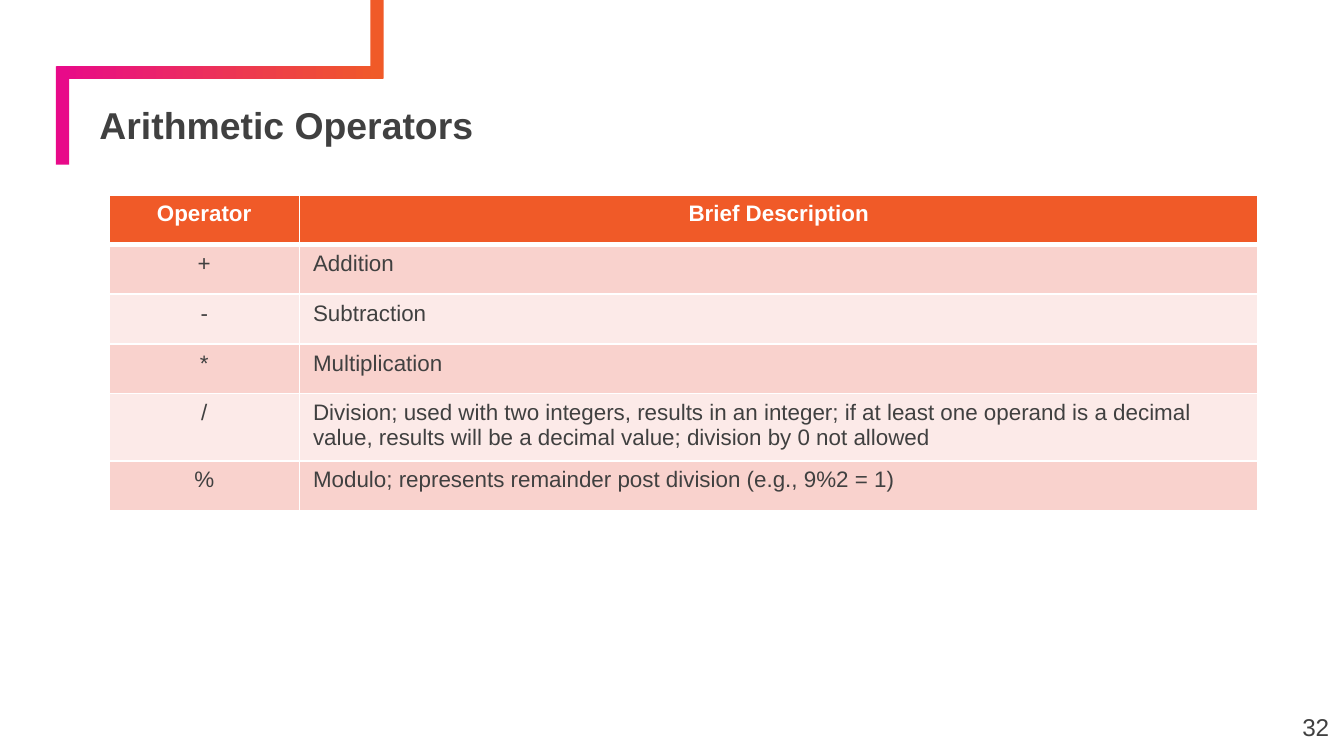
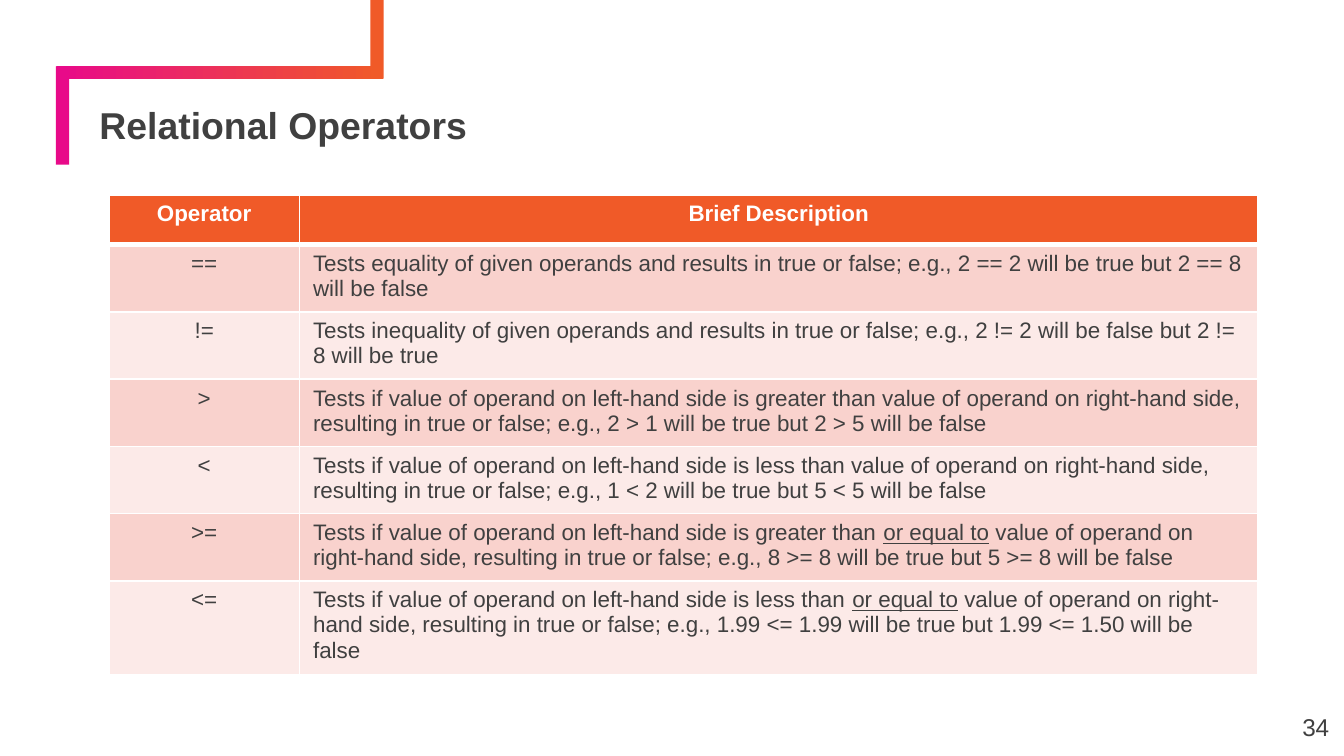
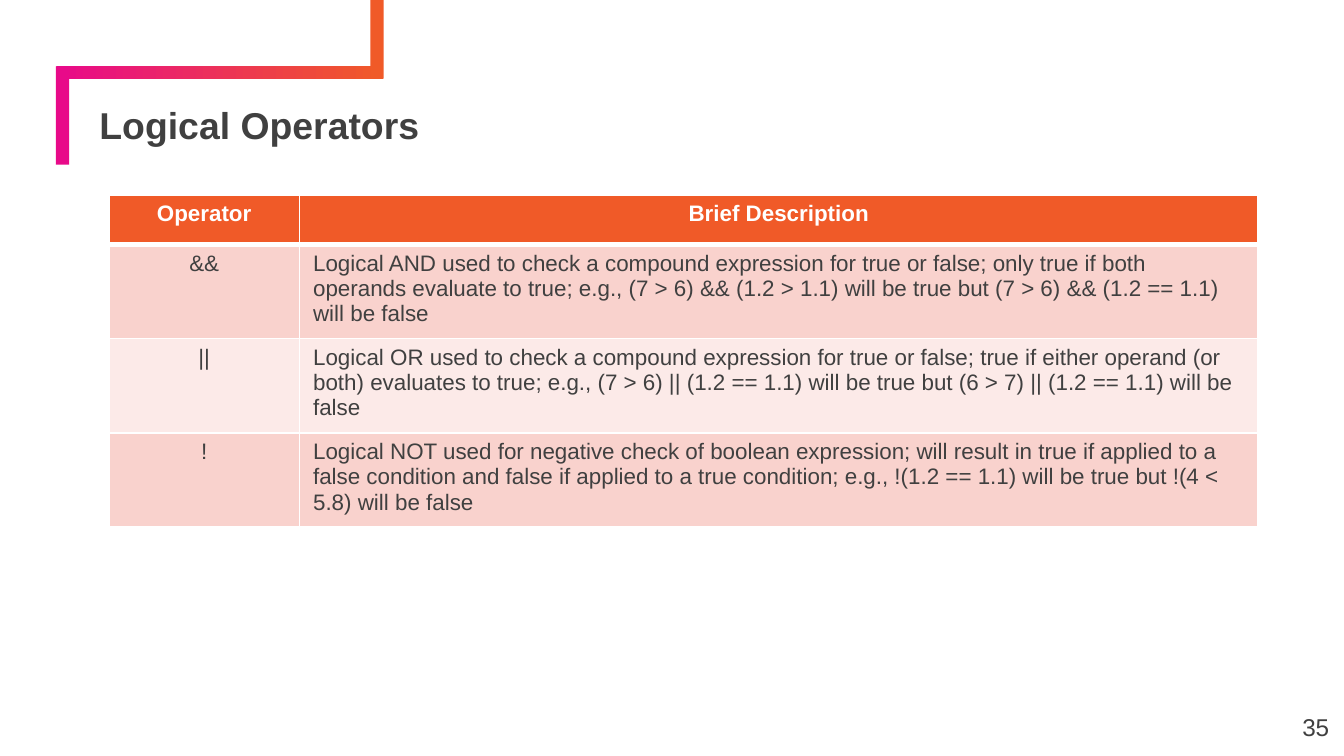
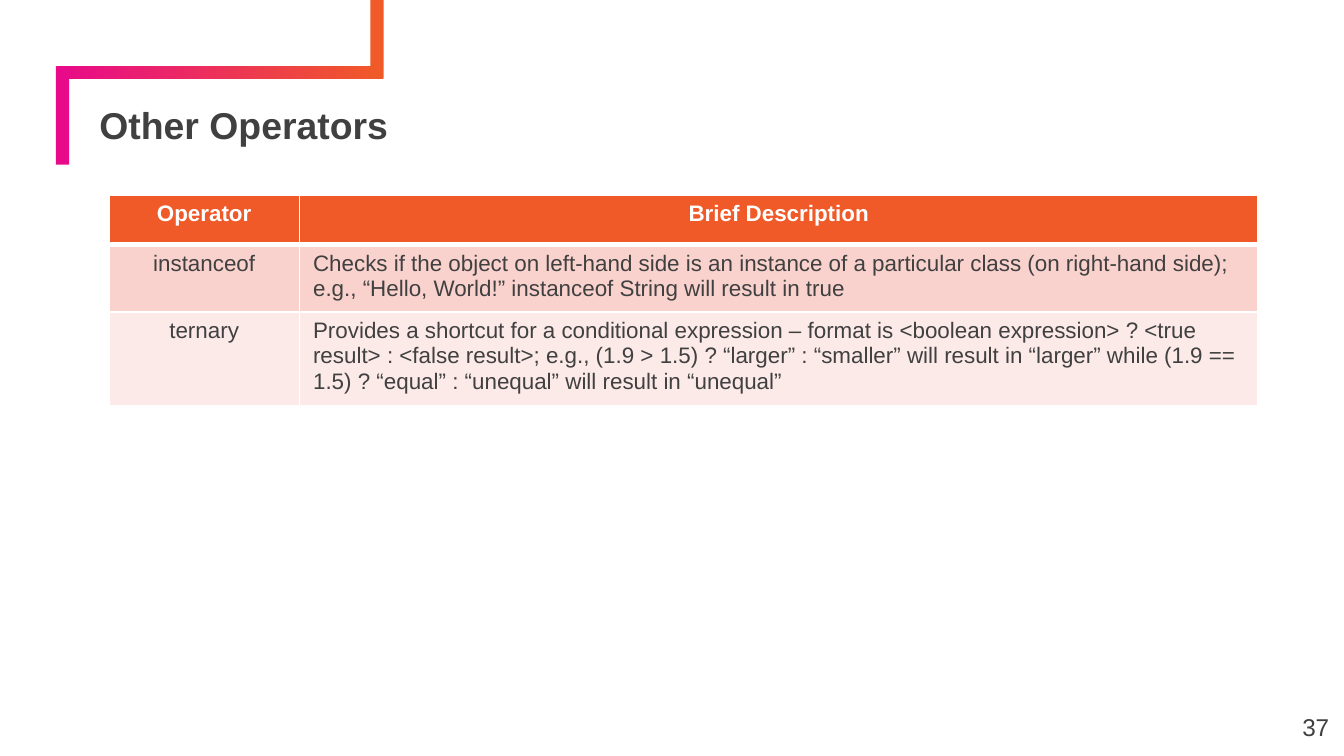
import pptx
import pptx.dml.color
import pptx.enum.shapes
import pptx.enum.text
import pptx.oxml
import pptx.oxml.ns
import pptx.util

Inches = pptx.util.Inches
Pt = pptx.util.Pt
RGBColor = pptx.dml.color.RGBColor
ALIGN = pptx.enum.text.PP_ALIGN

ORANGE = RGBColor(0xF0, 0x5A, 0x28)
PINK = RGBColor(0xE8, 0x0A, 0x89)
DARK = RGBColor(0x40, 0x40, 0x40)
WHITE = RGBColor(0xFF, 0xFF, 0xFF)
ROSE = RGBColor(0xF9, 0xD2, 0xCD)
PALE = RGBColor(0xFC, 0xEA, 0xE8)
FONT = "Arial"

# left, top, width, height, rotation, colours
BARS = [
    (0.42, 0.49, 2.43, 0.1, 0, [PINK, ORANGE]),
    (0.1, 0.81, 0.73, 0.1, 90, [PINK]),
    (2.51, 0.24, 0.59, 0.1, 90, [ORANGE]),
]
COLS = [1.42, 7.13]
ROW = 0.37
HEAD = ("Operator", "Brief Description")

# Underscores enclose underlined words.
SLIDES = [
    ("Arithmetic Operators", 32, [
        ("+", "Addition"),
        ("-", "Subtraction"),
        ("*", "Multiplication"),
        ("/", "Division; used with two integers, results in an integer; "
              "if at least one operand is a decimal value, results will be "
              "a decimal value; division by 0 not allowed"),
        ("%", "Modulo; represents remainder post division (e.g., 9%2 = 1)"),
    ]),
    ("Relational Operators", 34, [
        ("==", "Tests equality of given operands and results in true or "
               "false; e.g., 2 == 2 will be true but 2 == 8 will be false"),
        ("!=", "Tests inequality of given operands and results in true or "
               "false; e.g., 2 != 2 will be false but 2 != 8 will be true"),
        (">", "Tests if value of operand on left-hand side is greater than "
              "value of operand on right-hand side, resulting in true or "
              "false; e.g., 2 > 1 will be true but 2 > 5 will be false"),
        ("<", "Tests if value of operand on left-hand side is less than "
              "value of operand on right-hand side, resulting in true or "
              "false; e.g., 1 < 2 will be true but 5 < 5 will be false"),
        (">=", "Tests if value of operand on left-hand side is greater than "
               "_or equal to_ value of operand on right-hand side, resulting "
               "in true or false; e.g., 8 >= 8 will be true but 5 >= 8 will "
               "be false"),
        ("<=", "Tests if value of operand on left-hand side is less than "
               "_or equal to_ value of operand on right-hand side, resulting "
               "in true or false; e.g., 1.99 <= 1.99 will be true but "
               "1.99 <= 1.50 will be false"),
    ]),
    ("Logical Operators", 35, [
        ("&&", "Logical AND used to check a compound expression for true or "
               "false; only true if both operands evaluate to true; e.g., "
               "(7 > 6) && (1.2 > 1.1) will be true but (7 > 6) && "
               "(1.2 == 1.1) will be false"),
        ("||", "Logical OR used to check a compound expression for true or "
               "false; true if either operand (or both) evaluates to true; "
               "e.g., (7 > 6) || (1.2 == 1.1) will be true but (6 > 7) || "
               "(1.2 == 1.1) will be false"),
        ("!", "Logical NOT used for negative check of boolean expression; "
              "will result in true if applied to a false condition and false "
              "if applied to a true condition; e.g., !(1.2 == 1.1) will be "
              "true but !(4 < 5.8) will be false"),
    ]),
    ("Other Operators", 37, [
        ("instanceof", "Checks if the object on left-hand side is an instance "
                       "of a particular class (on right-hand side); e.g., "
                       "“Hello, World!” instanceof String will result in "
                       "true"),
        ("ternary", "Provides a shortcut for a conditional expression – "
                    "format is <boolean expression> ? <true result> : <false "
                    "result>; e.g., (1.9 > 1.5) ? “larger” : “smaller” will "
                    "result in “larger” while (1.9 == 1.5) ? “equal” : "
                    "“unequal” will result in “unequal”"),
    ]),
]


def write(para, text, size, color, bold=False):
    """Fill a paragraph, underlining what stands between underscores."""
    for i, part in enumerate(text.split("_")):
        run = para.add_run()
        run.text = part
        if i % 2:
            run.font.underline = True
    font = para.font
    font.name, font.size, font.bold = FONT, Pt(size), bold
    font.color.rgb = color


def label(slide, box, text, size, bold=False):
    """Add a one-line text box and return its paragraph."""
    frame = slide.shapes.add_textbox(*map(Inches, box)).text_frame
    frame.word_wrap = True
    frame.vertical_anchor = pptx.enum.text.MSO_ANCHOR.MIDDLE
    frame.margin_left = frame.margin_right = Inches(0.07)
    frame.margin_top = frame.margin_bottom = Inches(0.04)
    para = frame.paragraphs[0]
    write(para, text, size, DARK, bold)
    return para


prs = pptx.Presentation()
prs.slide_width = Inches(10)
prs.slide_height = prs.slide_width * 9 // 16

for title, page, body in SLIDES:
    slide = prs.slides.add_slide(prs.slide_layouts[6])

    for left, top, width, height, turn, hues in BARS:
        bar = slide.shapes.add_shape(
            pptx.enum.shapes.MSO_SHAPE.RECTANGLE,
            *map(Inches, (left, top, width, height)))
        bar.rotation = turn
        bar.shadow.inherit = False
        bar.line.fill.background()
        if len(hues) > 1:
            bar.fill.gradient()
            bar.fill.gradient_angle = 0
            for stop, hue in zip(bar.fill.gradient_stops, hues):
                stop.color.rgb = hue
        else:
            bar.fill.solid()
            bar.fill.fore_color.rgb = hues[0]

    label(slide, (0.67, 0.78, 9.03, 0.34), title, 20, True).line_spacing = 0.9
    label(slide, (9.36, 5.19, 0.6, 0.43), str(page), 13).alignment = ALIGN.RIGHT

    rows = [HEAD] + body
    table = slide.shapes.add_table(
        len(rows), len(COLS), Inches(0.81), Inches(1.45),
        Inches(sum(COLS)), Inches(ROW * len(rows))).table
    for col, width in zip(table.columns, COLS):
        col.width = Inches(width)

    for r, texts in enumerate(rows):
        table.rows[r].height = Inches(ROW)
        for c, text in enumerate(texts):
            cell = table.cell(r, c)
            props = cell._tc.get_or_add_tcPr()
            for side in "LRTB":
                thick = (r, side) in ((0, "B"), (1, "T"))
                props.append(pptx.oxml.parse_xml(
                    f'<a:ln{side} {pptx.oxml.ns.nsdecls("a")} '
                    f'w="{Pt(3 if thick else 1)}"><a:solidFill>'
                    f'<a:srgbClr val="{WHITE}"/></a:solidFill></a:ln{side}>'))
            cell.fill.solid()
            cell.fill.fore_color.rgb = (
                ORANGE if r == 0 else ROSE if r % 2 else PALE)
            para = cell.text_frame.paragraphs[0]
            write(para, text, 12, DARK if r else WHITE, r == 0)
            if r == 0 or c == 0:
                para.alignment = ALIGN.CENTER

prs.save("out.pptx")
